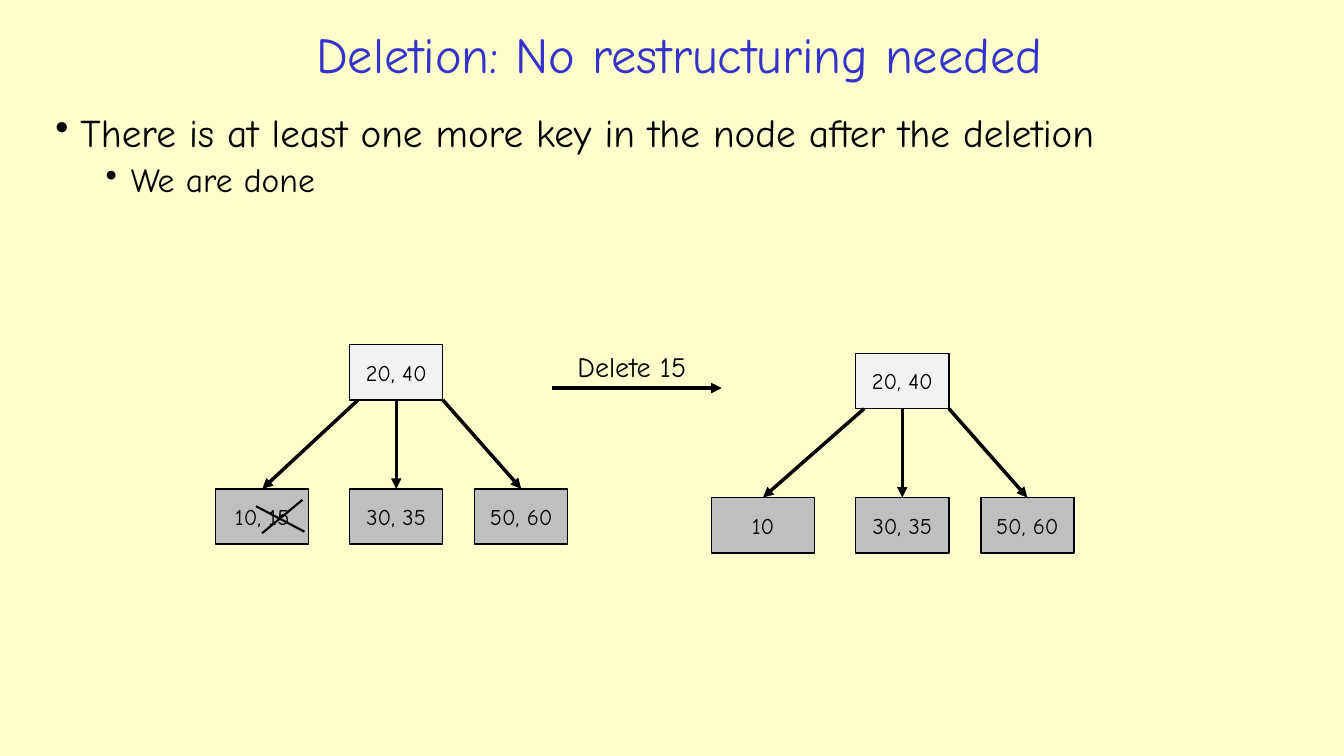
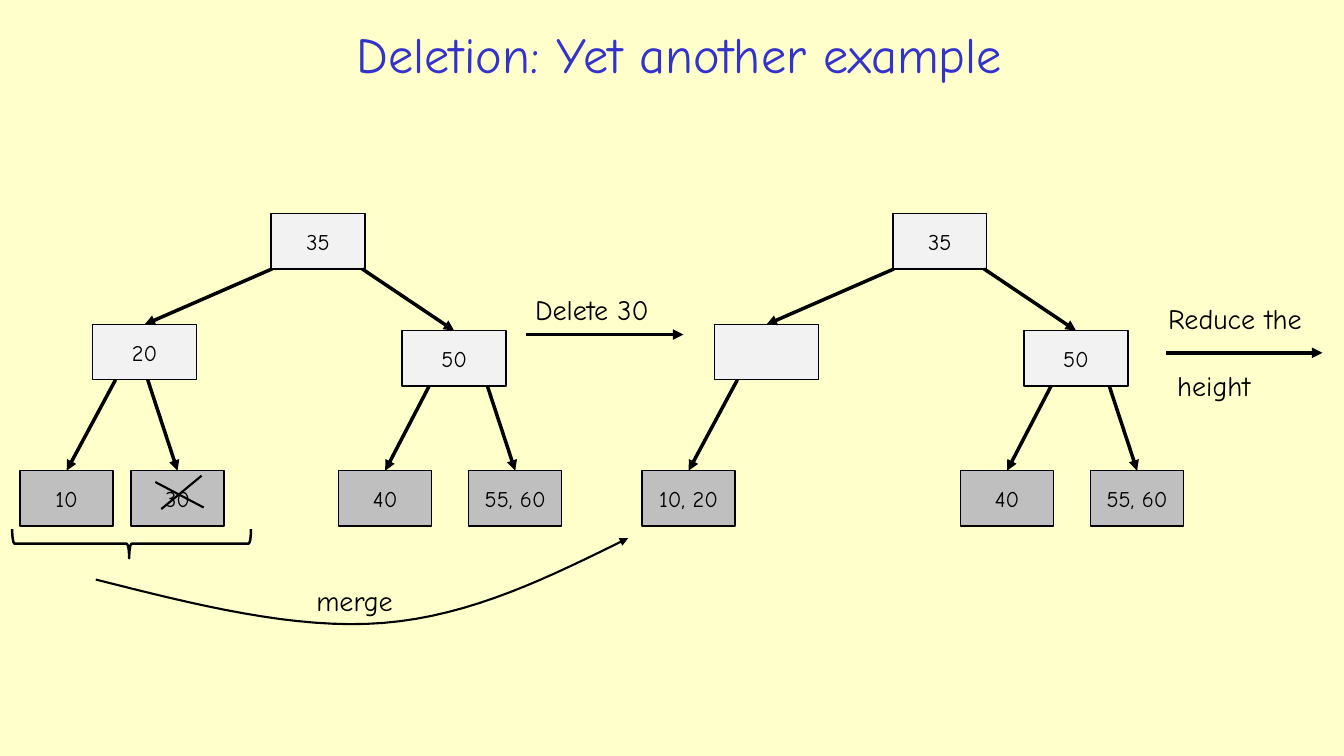
import pptx
import pptx.util
import pptx.dml.color
import pptx.enum.text
import pptx.enum.shapes
import pptx.oxml
import pptx.oxml.ns
import lxml.etree

Pt = pptx.util.Pt
Align = pptx.enum.text.PP_ALIGN
Anchor = pptx.enum.text.MSO_ANCHOR
Preset = pptx.enum.shapes.MSO_SHAPE
STRAIGHT = pptx.enum.shapes.MSO_CONNECTOR.STRAIGHT

COLOURS = {"page": "FFFFCC", "title": "3333CC", "ink": "000000",
           "inner": "F2F2F2", "leaf": "BFBFBF"}
FONT = "Comic Neue"
SLIDE_SIZE = (960, 540)
TITLE_BOX = (141.8, 10.8, 686.9, 54.7)
NODE_HEIGHT = 39.5
LEAF_WIDTH = 66.5
INNER_WIDTH = 74.2
ARROW_WIDTH = 2.5
TOP_SIDE, BOTTOM_SIDE = 0, 2

LEAF_LEVEL = 336.2
TWO_LEVELS = {
    "nodes": {
        "root": (249.8, 246.2, LEAF_WIDTH),
        "left": (154.1, 349.2, LEAF_WIDTH),
        "middle": (249.8, 349.2, LEAF_WIDTH),
        "right": (339.1, 349.2, LEAF_WIDTH),
    },
    "branches": [("root", 0.09, "left"), ("root", 0.5, "middle"), ("root", 1, "right")],
}
THREE_LEVELS = {
    "nodes": {
        "root": (193.7, 152.6, 67),
        "left": (66.2, 231.8, INNER_WIDTH),
        "right": (287.3, 236.2, INNER_WIDTH),
        "left first": (14.4, LEAF_LEVEL, LEAF_WIDTH),
        "left second": (93.6, LEAF_LEVEL, LEAF_WIDTH),
        "right first": (241.9, LEAF_LEVEL, LEAF_WIDTH),
        "right second": (334.8, LEAF_LEVEL, LEAF_WIDTH),
    },
    "branches": [
        ("root", 0.01, "left"), ("root", 0.97, "right"),
        ("left", 0.22, "left first"), ("left", 0.53, "left second"),
        ("right", 0.26, "right first"), ("right", 0.82, "right second"),
    ],
}
WIDER_LEFT = {"nodes": {**TWO_LEVELS["nodes"], "left": (146.8, 349.2, 73.4)},
              "branches": TWO_LEVELS["branches"]}

SLIDES = [
    {
        "title": "Deletion: No restructuring needed",
        "bullets": [
            ("There is at least one more key in the node after the deletion", 0),
            ("We are done", 1),
        ],
        "trees": [
            (TWO_LEVELS, (0, 0),
             {"root": "20, 40", "left": "10, 15", "middle": "30, 35", "right": "50, 60"}),
            (WIDER_LEFT, (361.5, 6.2),
             {"root": "20, 40", "left": "10", "middle": "30, 35", "right": "50, 60"}),
        ],
        "cross": (182.9, 357.1),
        "steps": [((394.6, 277.2), (515.5, 277.2))],
        "labels": [((405.4, 246.2, 105.1, 31.7), [("Delete 15", 0, 0)])],
    },
    {
        "title": "Deletion: Yet another example",
        "trees": [
            (THREE_LEVELS, (0, 0),
             {"root": "35", "left": "20", "right": "50", "left first": "10",
              "left second": "30", "right first": "40", "right second": "55, 60"}),
            (THREE_LEVELS, (444.2, 0),
             {"root": "35", "left": "", "right": "50", "left first": "10, 20",
              "right first": "40", "right second": "55, 60"}),
        ],
        "cross": (110.9, 339.8),
        "steps": [((375.8, 239), (488.2, 239)), ((833, 252), (944.6, 252))],
        "labels": [
            ((375.1, 205.2, 112.3, 31.7), [("Delete 30", 0, 0)]),
            ((827.3, 211.7, 122.4, 79.9), [("Reduce the", 0, 0), ("height", 24, 6.5)]),
            ((218.9, 413.3, 89.3, 31.7), [("merge", 0, 0)]),
        ],
        "brace": (83.5, 303.1, 20.9, 170.6),
        "merge curve": [
            [(68.4, 414), (139.7, 432), (210.2, 450), (273.6, 445)],
            [(273.6, 445), (337, 440), (393.1, 411.8), (448.6, 384.5)],
        ],
    },
]
BULLET_BOX = (32.4, 77.8, 903.6, 110.2)
BULLET_LEVELS = [{"size": 28, "left": 18, "before": 0}, {"size": 24, "left": 54, "before": 5}]
CROSS_STROKES = [((0, 4.5), (34.6, 22.7)), ((33.1, 0), (4.3, 23.8))]
CURVE_STEPS = 16


def rgb(name):
    return pptx.dml.color.RGBColor.from_string(COLOURS[name])


def points(values):
    return [Pt(value) for value in values]


def apply(target, formats):
    for name, value in formats.items():
        setattr(target, name, value)


def write(paragraph, text, size, colour="ink", **formats):
    paragraph.text = text
    apply(paragraph, formats)
    apply(paragraph.font, {"name": FONT, "size": Pt(size)})
    paragraph.font.color.rgb = rgb(colour)


def text_frame(slide, box, anchor=Anchor.TOP):
    frame = slide.shapes.add_textbox(*points(box)).text_frame
    apply(frame, {"word_wrap": True, "vertical_anchor": anchor})
    return frame


def paragraphs(frame, items):
    for index, item in enumerate(items):
        yield (frame.add_paragraph() if index else frame.paragraphs[0]), item


def indent(paragraph, left, first=0):
    properties = paragraph._p.get_or_add_pPr()
    properties.set("marL", str(Pt(left)))
    properties.set("indent", str(Pt(first)))
    return properties


def ink_line(part, width, arrow=False):
    part.line.width = Pt(width)
    part.line.color.rgb = rgb("ink")
    if arrow:
        outline = part.line._get_or_add_ln()
        lxml.etree.SubElement(outline, pptx.oxml.ns.qn("a:tailEnd"), type="triangle")


def connect(slide, start, end, width, arrow=False):
    line = slide.shapes.add_connector(STRAIGHT, *points((*start, *end)))
    ink_line(line, width, arrow)
    lxml.etree.SubElement(line._element.spPr, pptx.oxml.ns.qn("a:effectLst"))
    return line


def add_title(slide, text):
    frame = text_frame(slide, TITLE_BOX, Anchor.MIDDLE)
    write(frame.paragraphs[0], text, 36, "title", alignment=Align.CENTER)


def add_bullets(slide, bullets):
    frame = text_frame(slide, BULLET_BOX)
    for paragraph, (text, level) in paragraphs(frame, bullets):
        style = BULLET_LEVELS[level]
        properties = indent(paragraph, style["left"], -18)
        lxml.etree.SubElement(properties, pptx.oxml.ns.qn("a:buChar"), char="•")
        write(paragraph, text, style["size"], level=level, line_spacing=0.9,
              space_before=Pt(style["before"]))


def add_node(slide, box, key, role):
    node = slide.shapes.add_shape(Preset.RECTANGLE, *points(box))
    node.shadow.inherit = False
    node.fill.solid()
    node.fill.fore_color.rgb = rgb(role)
    ink_line(node, 1)
    apply(node.text_frame, {"word_wrap": True, "vertical_anchor": Anchor.MIDDLE})
    if key:
        write(node.text_frame.paragraphs[0], key, 16, alignment=Align.CENTER)
    return node


def add_tree(slide, layout, offset, keys):
    parents = {parent for parent, _, _ in layout["branches"]}
    boxes, nodes = {}, {}
    for name, key in keys.items():
        left, top, width = layout["nodes"][name]
        boxes[name] = (left + offset[0], top + offset[1], width, NODE_HEIGHT)
        nodes[name] = add_node(slide, boxes[name], key, "inner" if name in parents else "leaf")
    for parent, share, child in layout["branches"]:
        if child not in keys:
            continue
        left, top, width, height = boxes[parent]
        child_left, child_top, child_width, _ = boxes[child]
        branch = connect(slide, (left + share * width, top + height),
                         (child_left + child_width / 2, child_top), ARROW_WIDTH, True)
        if share == 0.5:
            branch.begin_connect(nodes[parent], BOTTOM_SIDE)
        branch.end_connect(nodes[child], TOP_SIDE)


def add_cross(slide, origin):
    for stroke in CROSS_STROKES:
        start, end = [(origin[0] + x, origin[1] + y) for x, y in stroke]
        connect(slide, start, end, 1.5)


def add_label(slide, box, lines):
    for paragraph, (text, before, left) in paragraphs(text_frame(slide, box), lines):
        indent(paragraph, left)
        write(paragraph, text, 20, space_before=Pt(before))


def add_brace(slide, box):
    brace = slide.shapes.add_shape(Preset.RIGHT_BRACE, *points(box))
    brace.adjustments[0] = 0.08
    brace.adjustments[1] = 0.51
    brace.rotation = 90
    brace.shadow.inherit = False
    brace.fill.background()
    ink_line(brace, 1.75)


def bezier(controls, t):
    weights = ((1 - t) ** 3, 3 * t * (1 - t) ** 2, 3 * t ** 2 * (1 - t), t ** 3)
    return points(sum(w * value for w, value in zip(weights, axis)) for axis in zip(*controls))


def add_curve(slide, pieces):
    builder = slide.shapes.build_freeform(*points(pieces[0][0]))
    builder.add_line_segments(
        [bezier(piece, step / CURVE_STEPS) for piece in pieces
         for step in range(1, CURVE_STEPS + 1)], close=False)
    curve = builder.convert_to_shape()
    curve.shadow.inherit = False
    curve.fill.background()
    ink_line(curve, 1.5, True)


def main():
    deck = pptx.Presentation()
    apply(deck, dict(zip(("slide_width", "slide_height"), points(SLIDE_SIZE))))
    page = deck.slide_master.background.fill
    page.solid()
    page.fore_color.rgb = rgb("page")
    for content in SLIDES:
        slide = deck.slides.add_slide(deck.slide_layouts[6])
        add_title(slide, content["title"])
        if "bullets" in content:
            add_bullets(slide, content["bullets"])
        for tree in content["trees"]:
            add_tree(slide, *tree)
        add_cross(slide, content["cross"])
        for start, end in content["steps"]:
            connect(slide, start, end, ARROW_WIDTH, True)
        for box, lines in content["labels"]:
            add_label(slide, box, lines)
        if "brace" in content:
            add_brace(slide, content["brace"])
        if "merge curve" in content:
            add_curve(slide, content["merge curve"])
    deck.save("out.pptx")


if __name__ == "__main__":
    main()
